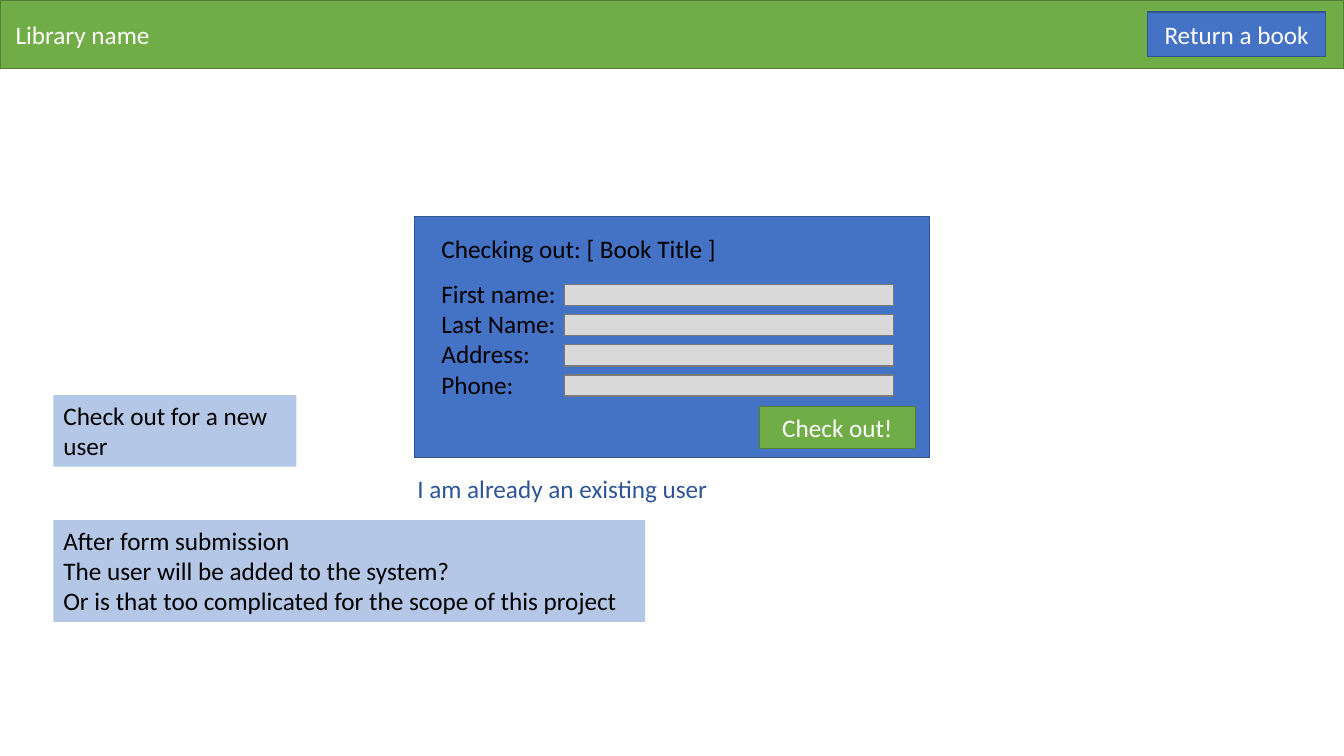
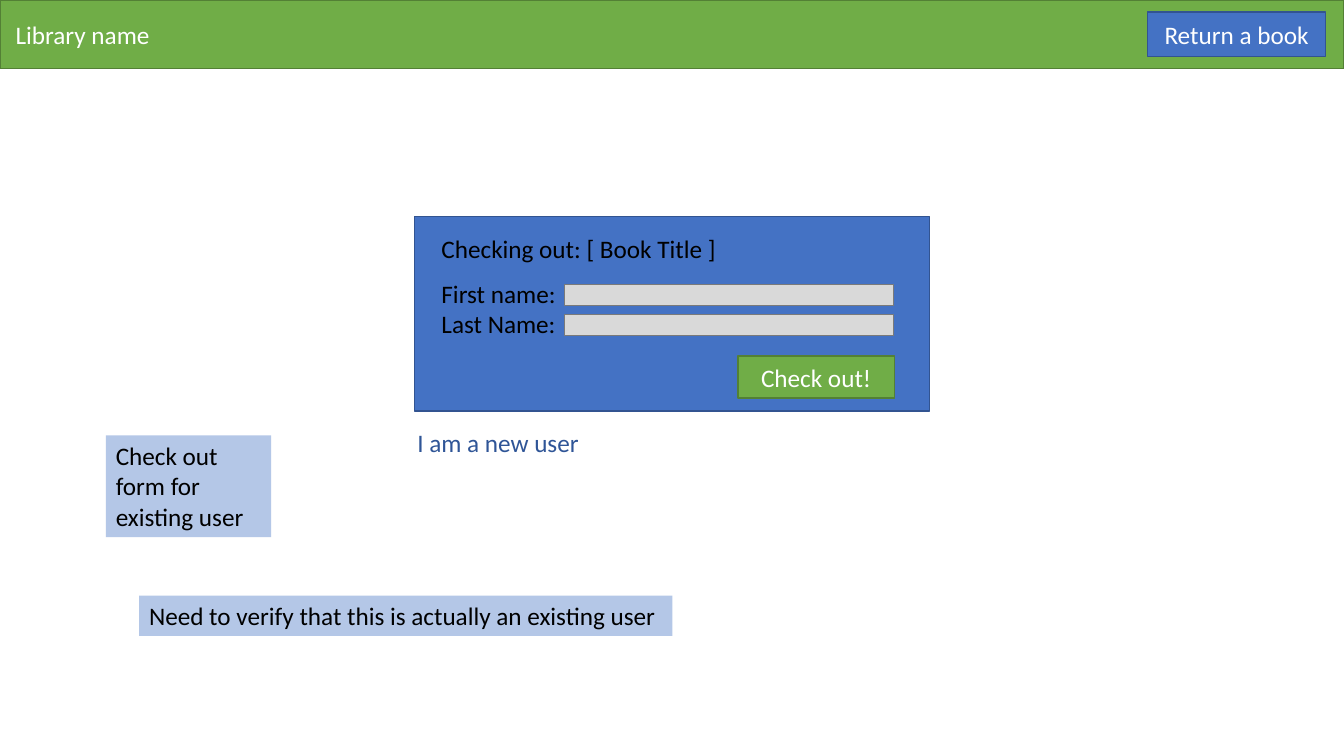
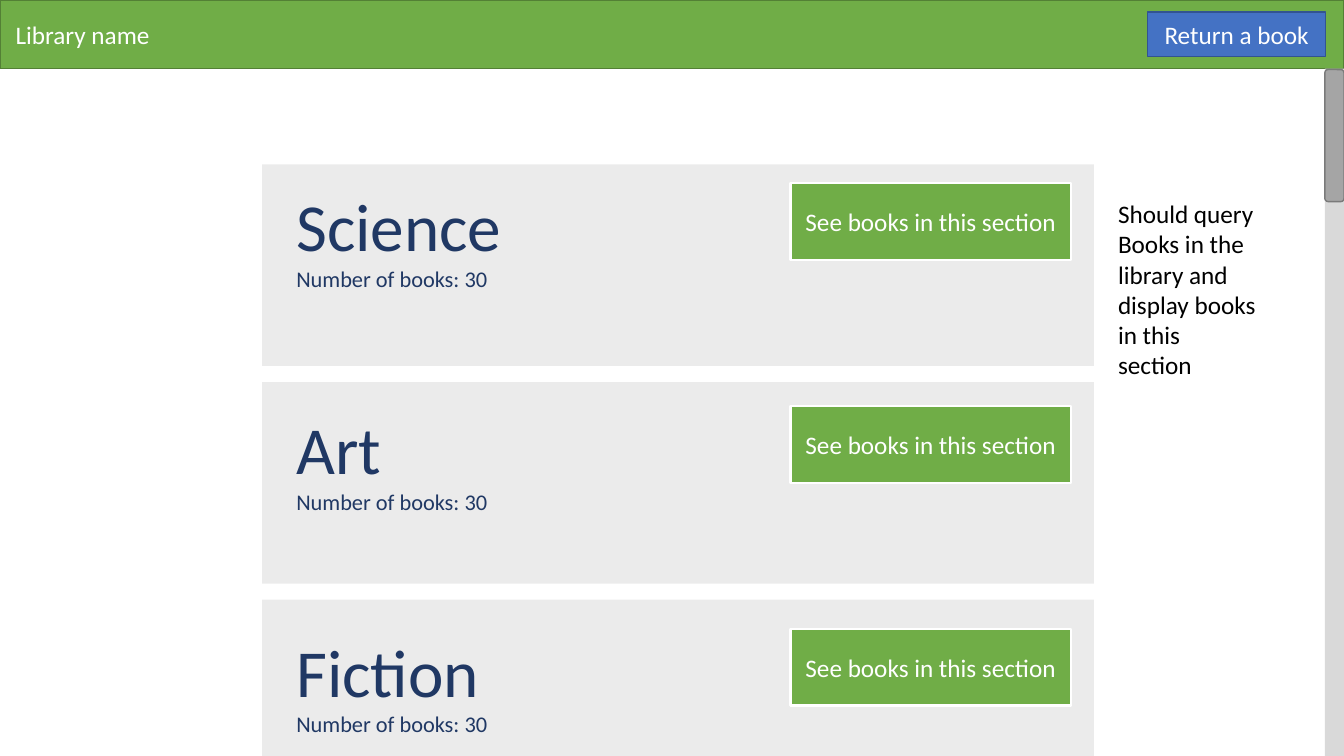
from lxml.etree import SubElement
from pptx import Presentation
from pptx.dml.color import RGBColor
from pptx.enum.shapes import MSO_SHAPE as Preset
from pptx.enum.text import MSO_ANCHOR as Anchor, MSO_AUTO_SIZE as AutoSize, PP_ALIGN as Align
from pptx.oxml.ns import qn
from pptx.util import Inches, Pt

FONT = "Calibri"
WIDTH, HEIGHT, HEADER_HEIGHT = 13.33, 7.5, 0.68
FORM_LEFT, FORM_TOP, FORM_WIDTH = 4.11, 2.15, 5.11
FIELD_PITCH = 0.3
COLORS = {
    "green": "70AD47", "green_edge": "538035",
    "blue": "4472C4", "blue_edge": "325491",
    "link": "2F5597", "heading": "203864", "note": "B4C7E7",
    "grey": "D9D9D9", "thumb": "A5A5A5", "grey_edge": "7A7A7A",
    "white": "FFFFFF", "black": "000000",
}


def rgb(name):
    """Look up a palette colour."""
    return RGBColor.from_string(COLORS[name])


def write(shape, lines, color="black", sizes=(18,), align=Align.LEFT):
    """Fill a shape with paragraphs; the last size serves any further lines."""
    frame = shape.text_frame
    frame.text = "\n".join(lines)
    for row, paragraph in enumerate(frame.paragraphs):
        paragraph.alignment = align
        for run in paragraph.runs:
            run.font.name = FONT
            run.font.size = Pt(sizes[min(row, len(sizes) - 1)])
            run.font.color.rgb = rgb(color)


def add_block(slide, box, fill, edge=None, edge_width=1, preset=Preset.RECTANGLE):
    """Draw a flat filled shape with an optional outline."""
    block = slide.shapes.add_shape(preset, *map(Inches, box))
    block.shadow.inherit = False
    block.fill.solid()
    block.fill.fore_color.rgb = rgb(fill)
    if edge:
        block.line.color.rgb = rgb(edge)
        block.line.width = Pt(edge_width)
    else:
        block.line.fill.background()
    return block


def add_button(slide, box, label, fill="green", edge="green_edge", edge_width=1):
    """Draw a button with a centred white label."""
    button = add_block(slide, box, fill, edge, edge_width)
    button.text_frame.vertical_anchor = Anchor.MIDDLE
    write(button, [label], "white", align=Align.CENTER)


def add_text(slide, box, lines, color="black", sizes=(18,), fill=None, wrap=True):
    """Place a text box that grows with its lines."""
    text = slide.shapes.add_textbox(*map(Inches, box))
    text.text_frame.word_wrap = wrap
    text.text_frame.auto_size = AutoSize.SHAPE_TO_FIT_TEXT
    if fill:
        text.fill.solid()
        text.fill.fore_color.rgb = rgb(fill)
    write(text, lines, color, sizes)


def add_page(deck):
    """Start a blank page with the library header."""
    slide = deck.slides.add_slide(deck.slide_layouts[6])
    header = add_block(slide, (0, 0, WIDTH, HEADER_HEIGHT), "green", "green_edge")
    header.text_frame.vertical_anchor = Anchor.MIDDLE
    write(header, [" Library name"], "white")
    add_button(slide, (WIDTH - 1.95, 0.12, 1.77, 0.44), "Return a book", "blue", "blue_edge")
    return slide


def add_checkout_form(slide, box, labels, button_offset, switch_link):
    """Draw the checkout panel, its fields and the link beneath it."""
    left, top, width, height = box
    add_block(slide, box, "blue", "blue_edge")
    add_text(slide, (left + 0.17, top + 0.12, 3.59, 0.4), ["Checking out: [ Book Title ]"])
    add_text(slide, (left + 0.17, top + 0.56, 5.45, 0.11 + FIELD_PITCH * len(labels)), labels)
    for row in range(len(labels)):
        add_block(slide, (left + 1.49, top + 0.67 + FIELD_PITCH * row, 3.26, 0.21),
                  "grey", "grey_edge")
    across, down = button_offset
    add_button(slide, (left + across, top + down, 1.55, 0.42), "Check out!")
    add_text(slide, (left - 0.07, top + height + 0.11, 3.12, 0.4), [switch_link], "link")


def add_section(slide, box, name, inset):
    """Draw a section card with its contents inset from the top."""
    left, top, width, height = box
    card = add_block(slide, box, "grey")
    tint = card.fill._xPr.find(qn("a:solidFill"))[0]
    SubElement(tint, qn("a:alpha"), val="50000")
    add_text(slide, (left + 0.24, top + inset, 2.41, 1.18),
             [name, "Number of books: 30"], "heading", (48, 16))
    add_button(slide, (left + width - 3.01, top + inset + 0.04, 2.78, 0.76),
               "See books in this section", edge="white", edge_width=1.5)


def add_scrollbar(slide, box):
    """Draw a scroll track with its thumb at the top."""
    left, top, width, height = box
    add_block(slide, box, "grey")
    add_block(slide, (left, top + 0.01, width, 1.31), "thumb", "grey_edge",
              preset=Preset.ROUNDED_RECTANGLE)


def build_new_user(deck):
    """Build the checkout page for a new user."""
    slide = add_page(deck)
    add_checkout_form(slide, (FORM_LEFT, FORM_TOP, FORM_WIDTH, 2.39),
                      ["First name: ", "Last Name:", "Address:", "Phone:"],
                      (3.42, 1.88), "I am already an existing user")
    add_text(slide, (0.53, 3.92, 2.41, 0.71), ["Check out for a new user"], fill="note")
    add_text(slide, (0.53, 5.16, 5.87, 1.01),
             ["After form submission", "The user will be added to the system?",
              "Or is that too complicated for the scope of this project"],
             fill="note", wrap=False)


def build_existing_user(deck):
    """Build the checkout page for an existing user."""
    slide = add_page(deck)
    add_checkout_form(slide, (FORM_LEFT, FORM_TOP, FORM_WIDTH, 1.93),
                      ["First name: ", "Last Name:"], (3.21, 1.38), "I am a new user")
    add_text(slide, (1.05, 4.32, 1.64, 1.01), ["Check out form for existing user"], fill="note")
    add_text(slide, (1.38, 5.91, 5.29, 0.4),
             ["Need to verify that this is actually an existing user"],
             fill="note", wrap=False)


def build_sections(deck):
    """Build the page that lists the library sections."""
    slide = add_page(deck)
    for row, name in enumerate(("Science", "Art", "Fiction")):
        add_section(slide, (2.6, 1.63 + 2.16 * row, 8.25, 2), name, 0.15 + 0.05 * row)
    add_scrollbar(slide, (WIDTH - 0.19, HEADER_HEIGHT, 0.19, HEIGHT - HEADER_HEIGHT))
    add_text(slide, (10.99, 1.92, 1.58, 1.92),
             ["Should query", "Books in the library and display books in this section "])


deck = Presentation()
deck.slide_width, deck.slide_height = Inches(WIDTH), Inches(HEIGHT)
for build in (build_new_user, build_existing_user, build_sections):
    build(deck)
deck.save("out.pptx")
